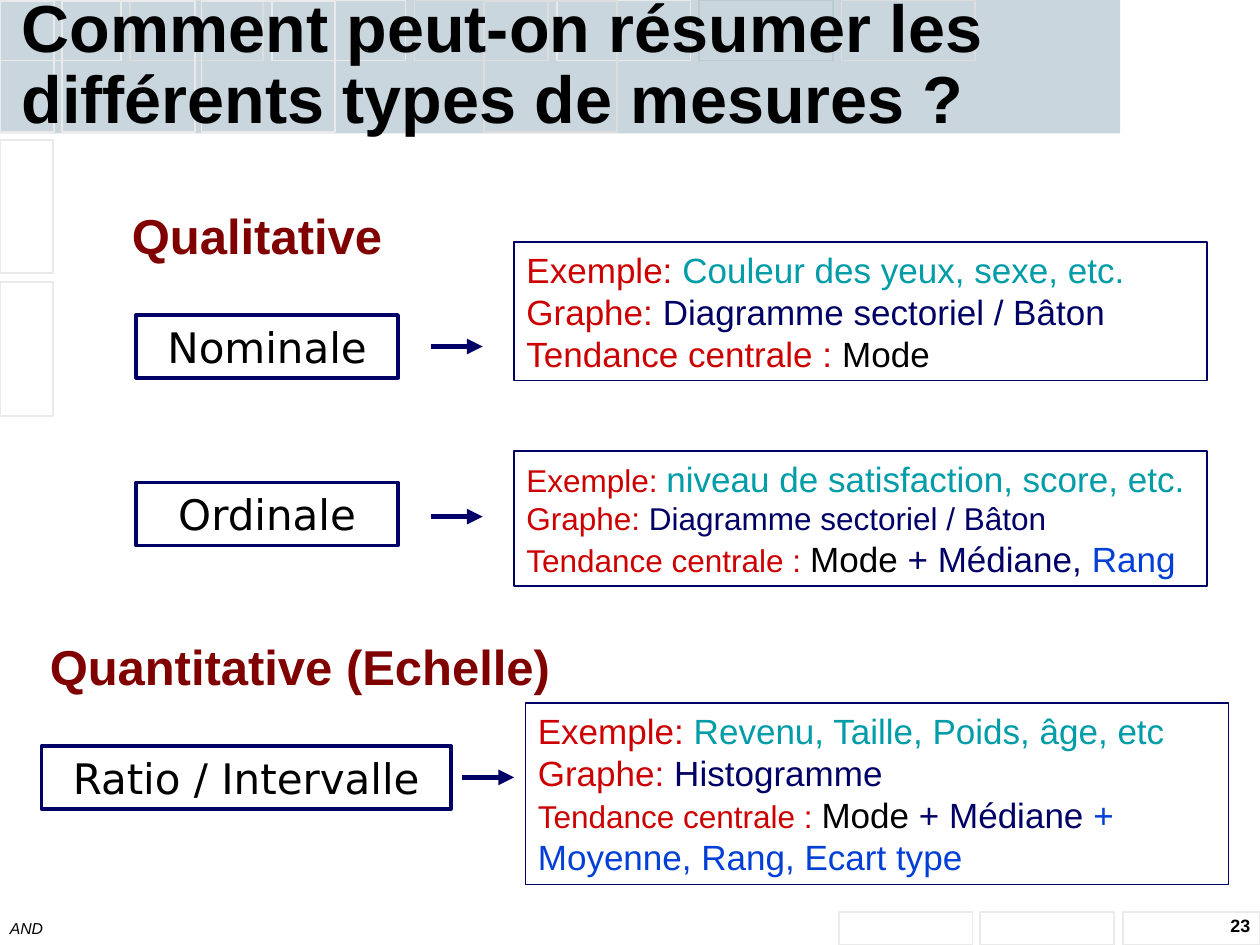
from lxml import etree
from pptx import Presentation
from pptx.dml.color import RGBColor
from pptx.enum.shapes import MSO_CONNECTOR, MSO_SHAPE
from pptx.enum.text import MSO_ANCHOR, MSO_AUTO_SIZE, PP_ALIGN
from pptx.oxml.ns import qn
from pptx.util import Emu, Pt

RECT = MSO_SHAPE.RECTANGLE
STRAIGHT = MSO_CONNECTOR.STRAIGHT
LEFT, CENTER, RIGHT = PP_ALIGN.LEFT, PP_ALIGN.CENTER, PP_ALIGN.RIGHT

PX = 9144  # 100 px to the inch
WIDTH, HEIGHT = 1000, 750

WHITE = RGBColor(0xFF, 0xFF, 0xFF)
BLACK = RGBColor(0x00, 0x00, 0x00)
BAND = RGBColor(0xC9, 0xD6, 0xDD)
TILE_BLUE = RGBColor(0xB9, 0xCA, 0xD3)
TILE_LIGHT = RGBColor(0xEA, 0xEA, 0xEA)
TILE_GREY = RGBColor(0xDD, 0xDD, 0xDD)
NAVY = RGBColor(0x00, 0x00, 0x66)
RED = RGBColor(0xCC, 0x00, 0x00)
TEAL = RGBColor(0x00, 0x9C, 0xA8)
BLUE = RGBColor(0x02, 0x3F, 0xD6)
MAROON = RGBColor(0x80, 0x00, 0x00)

BODY_FONT, LABEL_FONT = "Arial", "DejaVu Sans"

# Each group: label, label box, arrow start, summary box, lines of (text, size, colour)
GROUPS = [
    ("Nominale", (108, 250, 208, 50), (342, 275), (408, 192, 550, 110), [
        [("Exemple: ", 20, RED), ("Couleur des yeux, sexe, etc.", 20, TEAL)],
        [("Graphe:", 20, RED), (" Diagramme sectoriel / Bâton", 20, NAVY)],
        [("Tendance centrale :", 20, RED), (" Mode", 20, BLACK)],
    ]),
    ("Ordinale", (108, 383, 208, 50), (342, 410), (408, 358, 550, 107), [
        [("Exemple: ", 18, RED), ("niveau de satisfaction, score, etc.", 20, TEAL)],
        [("Graphe: ", 18, RED), ("Diagramme sectoriel / Bâton", 18, NAVY)],
        [("Tendance centrale : ", 18, RED), ("Mode ", 20, BLACK),
         ("+ Médiane, ", 20, NAVY), ("Rang", 20, BLUE)],
    ]),
    ("Ratio / Intervalle", (33, 592, 325, 50), (367, 617), (417, 558, 558, 144), [
        [("Exemple: ", 20, RED), ("Revenu, Taille, Poids, âge, etc", 20, TEAL)],
        [("Graphe:", 20, RED), (" Histogramme", 20, NAVY)],
        [("Tendance centrale : ", 18, RED), ("Mode", 20, BLACK),
         (" + Médiane ", 20, NAVY), ("+ Moyenne, Rang, Ecart type", 20, BLUE)],
    ]),
]


def emu(box):
    return [Emu(value * PX) for value in box]


def style(font, size, color, name=BODY_FONT, bold=False, italic=False):
    font.name, font.size, font.bold, font.italic = name, Pt(size), bold, italic
    font.color.rgb = color


def add_box(slide, box, fill=None, line=None, weight=1):
    shape = slide.shapes.add_shape(RECT, *emu(box))
    shape.shadow.inherit = False
    if fill is None:
        shape.fill.background()
    else:
        shape.fill.solid()
        shape.fill.fore_color.rgb = fill
    if line is None:
        shape.line.fill.background()
    else:
        shape.line.color.rgb = line
        shape.line.width = Pt(weight)
    shape.text_frame.vertical_anchor = MSO_ANCHOR.TOP
    return shape


def add_text(slide, box, text, size, color, align=LEFT, **look):
    frame = slide.shapes.add_textbox(*emu(box)).text_frame
    frame.word_wrap = True
    frame.text = text
    paragraph = frame.paragraphs[0]
    paragraph.alignment = align
    style(paragraph.runs[0].font, size, color, **look)
    return paragraph


def add_backdrop(slide):
    slide.background.fill.solid()
    slide.background.fill.fore_color.rgb = WHITE
    add_box(slide, (0, 0, 889, 106), BAND)
    pitch, side = 113, 106
    # Top row of half-height tiles, alternating in colour
    add_box(slide, (0, 0, 96, 48), line=TILE_LIGHT)
    top_colors = [TILE_GREY, TILE_LIGHT, TILE_GREY, TILE_LIGHT, TILE_BLUE, TILE_GREY]
    for column, color in enumerate(top_colors):
        add_box(slide, (103 + column * pitch, 0, side, 48), line=color)
    # Tall tiles over the band
    for left, width, color in [(0, 43, TILE_LIGHT), (49, side, TILE_LIGHT),
                               (160, side, TILE_LIGHT), (384, side, TILE_GREY)]:
        add_box(slide, (left, 1, width, 104), line=color)
    # Left edge and bottom right tiles
    for row in range(2):
        add_box(slide, (0, 111 + row * pitch, 42, side), line=TILE_LIGHT)
    for left, width in [(666, side), (778, side), (891, 109)]:
        add_box(slide, (left, 724, width, 26), line=TILE_LIGHT)


def add_title(slide, box, text):
    title = slide.shapes.title
    title.left, title.top, title.width, title.height = emu(box)
    slide.shapes.element.append(title.element)  # in front of the tiles
    frame = title.text_frame
    frame.text = text
    frame.word_wrap = True
    frame.auto_size = MSO_AUTO_SIZE.NONE
    frame.vertical_anchor = MSO_ANCHOR.BOTTOM
    frame.margin_top = frame.margin_bottom = 0
    paragraph = frame.paragraphs[0]
    paragraph.alignment = LEFT
    paragraph.line_spacing = 0.88
    style(paragraph.runs[0].font, 38, BLACK, bold=True)


def add_label(slide, box, text):
    frame = add_box(slide, box, WHITE, NAVY, 2).text_frame
    frame.text = text
    frame.paragraphs[0].alignment = CENTER
    style(frame.paragraphs[0].runs[0].font, 24, BLACK, LABEL_FONT)


def add_arrow(slide, start, length=41):
    x, y = start
    arrow = slide.shapes.add_connector(STRAIGHT, *emu((x, y, x + length, y)))
    arrow.line.color.rgb = NAVY
    arrow.line.width = Pt(3)
    etree.SubElement(arrow.line._get_or_add_ln(), qn("a:tailEnd"), type="triangle")
    etree.SubElement(arrow.element.spPr, qn("a:effectLst"))


def add_summary(slide, box, lines):
    frame = add_box(slide, box, WHITE, NAVY).text_frame
    for index, pieces in enumerate(lines):
        paragraph = frame.add_paragraph() if index else frame.paragraphs[0]
        paragraph.alignment = LEFT
        for text, size, color in pieces:
            run = paragraph.add_run()
            run.text = text
            style(run.font, size, color)


def add_footer(slide):
    add_text(slide, (-2, 724, 317, 26), "AND", 9, BLACK, italic=True)
    number = add_text(slide, (794, 723, 208, 27), "23", 10.2, BLACK, RIGHT, bold=True)
    number.line_spacing = 0.9


def main():
    prs = Presentation()
    prs.slide_width, prs.slide_height = emu((WIDTH, HEIGHT))
    slide = prs.slides.add_slide(prs.slide_layouts[5])
    add_backdrop(slide)
    add_footer(slide)
    add_title(slide, (7, 8, 879, 101),
              "Comment peut-on résumer les différents types de mesures ?")
    for label, label_box, arrow_start, summary_box, lines in GROUPS:
        add_label(slide, label_box, label)
        add_summary(slide, summary_box, lines)
        add_arrow(slide, arrow_start)
    # Headings of the two families of measures
    add_text(slide, (75, 158, 258, 57), "Qualitative", 28, MAROON, CENTER, bold=True)
    add_text(slide, (17, 500, 442, 57), "Quantitative (Echelle)", 28, MAROON, CENTER,
             bold=True)
    prs.save("out.pptx")


if __name__ == "__main__":
    main()
